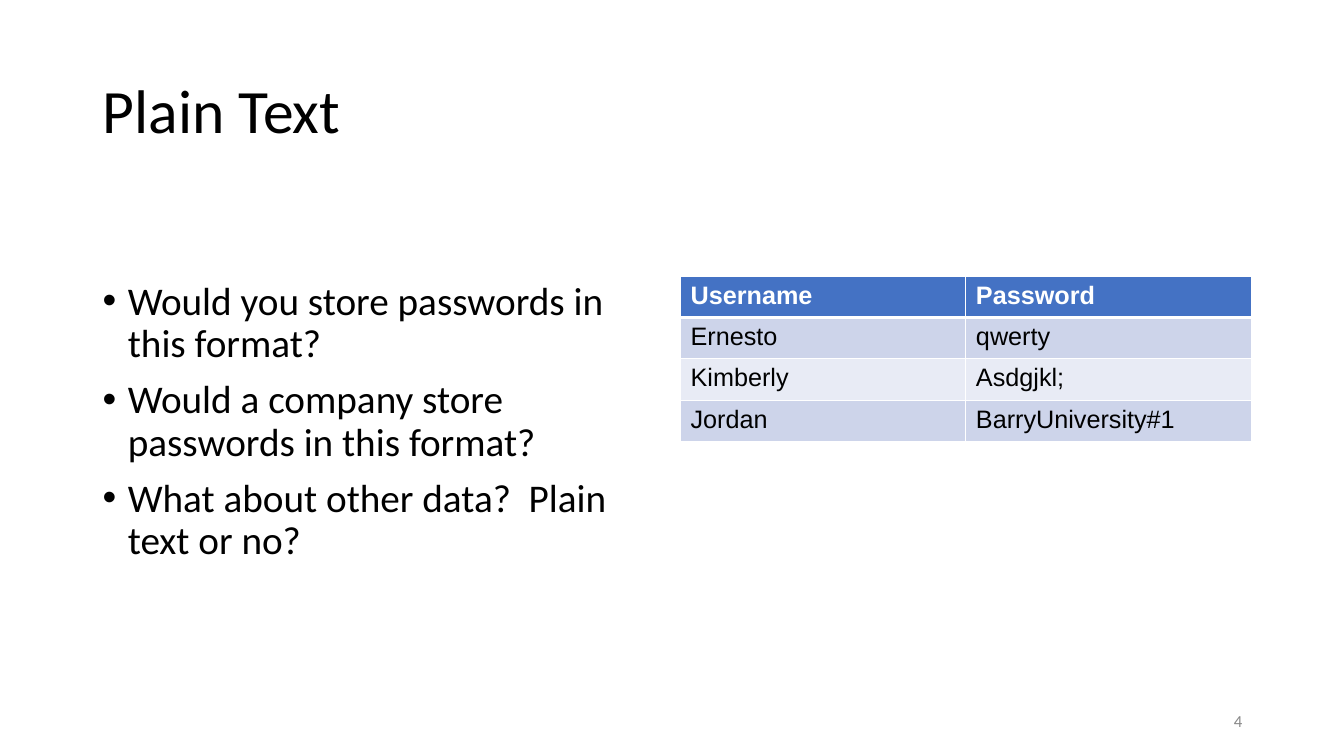
from dataclasses import dataclass

import lxml.etree
import pptx
import pptx.dml.color
import pptx.enum.text
import pptx.oxml.ns
import pptx.util

Inches = pptx.util.Inches
Pt = pptx.util.Pt
ALIGN = pptx.enum.text.PP_ALIGN
ANCHOR = pptx.enum.text.MSO_ANCHOR
qn = pptx.oxml.ns.qn


def rgb(value):
    return pptx.dml.color.RGBColor.from_string(value)


@dataclass(frozen=True)
class Theme:
    text_font: str = "Calibri"
    table_font: str = "Arial"
    ink: str = "000000"
    white: str = "FFFFFF"
    muted: str = "888888"
    header_fill: str = "4472C4"
    band_fills: tuple = ("CDD4EA", "E8EBF5")
    title_size: int = 44
    body_size: int = 28
    table_size: int = 18
    number_size: int = 12
    rule: int = 1
    header_rule: int = 3


class SlideBuilder:
    def __init__(self, slide, theme):
        self.slide = slide
        self.theme = theme

    def add_run(self, paragraph, text, size, color, font, bold=False):
        run = paragraph.add_run()
        run.text = text
        run.font.size = Pt(size)
        run.font.name = font
        run.font.bold = bold
        run.font.color.rgb = rgb(color)

    def text_frame(self, left, top, width, height, anchor=ANCHOR.MIDDLE):
        box = self.slide.shapes.add_textbox(
            Inches(left), Inches(top), Inches(width), Inches(height))
        frame = box.text_frame
        frame.word_wrap = True
        frame.vertical_anchor = anchor
        return frame

    def title(self, text, *place):
        heading = self.text_frame(*place).paragraphs[0]
        heading.line_spacing = 0.9
        self.add_run(heading, text, self.theme.title_size, self.theme.ink,
                     self.theme.text_font)

    def bullets(self, items, *place):
        frame = self.text_frame(*place, anchor=ANCHOR.TOP)
        for index, item in enumerate(items):
            point = frame.add_paragraph() if index else frame.paragraphs[0]
            properties = point._p.get_or_add_pPr()
            properties.set("marL", str(Inches(0.25)))
            properties.set("indent", str(Inches(-0.25)))
            lxml.etree.SubElement(properties, qn("a:buFont"), typeface="Arial")
            lxml.etree.SubElement(properties, qn("a:buChar"), char="•")
            point.line_spacing = 0.9
            if index:
                point.space_before = Pt(10)
            self.add_run(point, item, self.theme.body_size, self.theme.ink,
                         self.theme.text_font)

    def page_number(self, text, *place):
        number = self.text_frame(*place).paragraphs[0]
        number.alignment = ALIGN.RIGHT
        self.add_run(number, text, self.theme.number_size, self.theme.muted,
                     self.theme.text_font)

    def cell_borders(self, cell, top, bottom):
        """Draw white borders; call before the fill, which must follow them."""
        properties = cell._tc.get_or_add_tcPr()
        widths = {"L": self.theme.rule, "R": self.theme.rule, "T": top, "B": bottom}
        for side, width in widths.items():
            line = lxml.etree.SubElement(
                properties, qn(f"a:ln{side}"), w=str(Pt(width)))
            fill = lxml.etree.SubElement(line, qn("a:solidFill"))
            lxml.etree.SubElement(fill, qn("a:srgbClr"), val=self.theme.white)

    def table(self, rows, left, top, column_width, row_height):
        theme = self.theme
        columns = len(rows[0])
        grid = self.slide.shapes.add_table(
            len(rows), columns, Inches(left), Inches(top),
            Inches(column_width * columns), Inches(row_height * len(rows))).table
        for r, values in enumerate(rows):
            header = r == 0
            fill = theme.header_fill if header else theme.band_fills[(r - 1) % 2]
            for c, value in enumerate(values):
                cell = grid.cell(r, c)
                self.cell_borders(
                    cell,
                    top=theme.header_rule if r == 1 else theme.rule,
                    bottom=theme.header_rule if header else theme.rule)
                cell.fill.solid()
                cell.fill.fore_color.rgb = rgb(fill)
                self.add_run(cell.text_frame.paragraphs[0], value,
                             theme.table_size,
                             theme.white if header else theme.ink,
                             theme.table_font, bold=header)


def main():
    deck = pptx.Presentation()
    deck.slide_width = Inches(13.33)
    deck.slide_height = Inches(7.5)
    builder = SlideBuilder(deck.slides.add_slide(deck.slide_layouts[6]), Theme())

    builder.title("Plain Text", 0.92, 0.4, 11.5, 1.45)
    builder.bullets([
        "Would you store passwords in this format?",
        "Would a company store passwords in this format?",
        "What about other data?  Plain text or no?",
    ], 0.92, 2.74, 5.64, 4.03)
    builder.table([
        ("Username", "Password"),
        ("Ernesto", "qwerty"),
        ("Kimberly", "Asdgjkl;"),
        ("Jordan", "BarryUniversity#1"),
    ], left=6.75, top=2.74, column_width=2.83, row_height=0.41)
    builder.page_number("4", 9.42, 6.95, 3, 0.4)

    deck.save("out.pptx")


if __name__ == "__main__":
    main()
